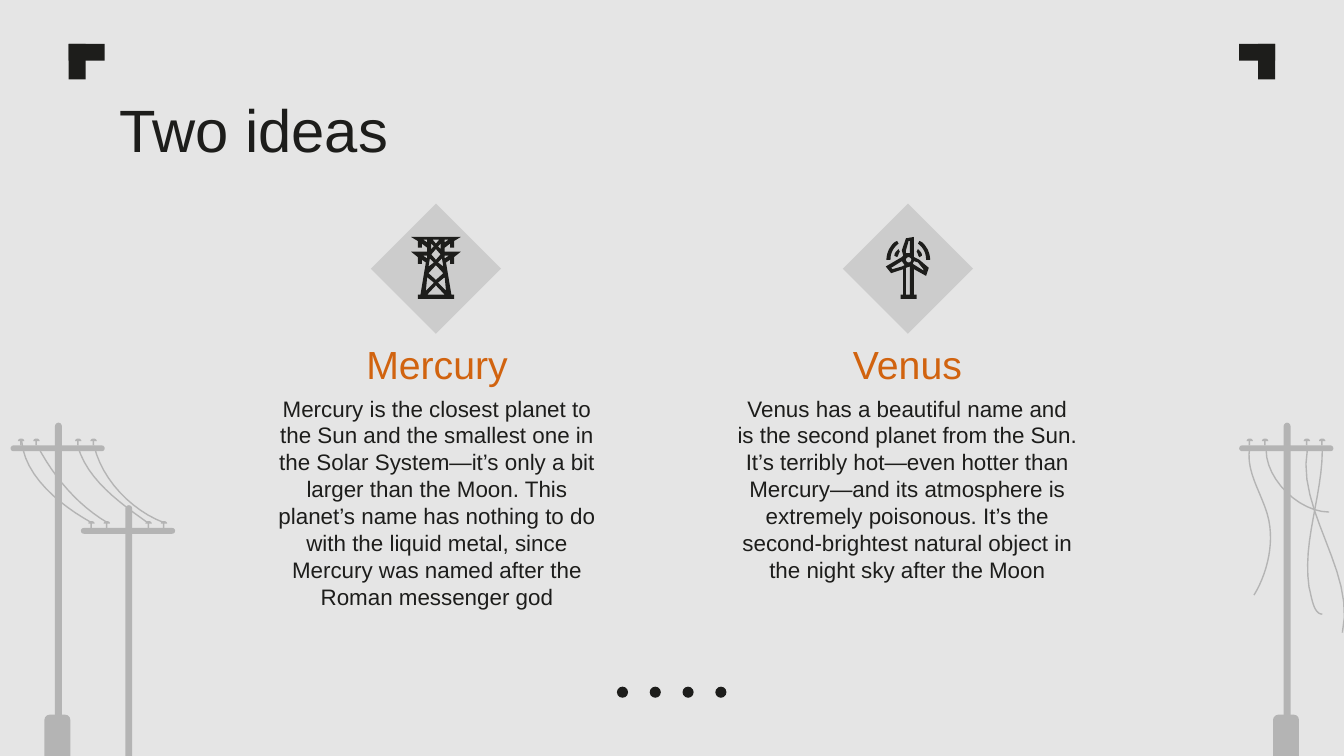
from pptx import Presentation
from pptx.dml.color import RGBColor
from pptx.enum.shapes import MSO_SHAPE
from pptx.enum.text import MSO_ANCHOR, MSO_AUTO_SIZE, PP_ALIGN
from pptx.oxml.ns import qn
from pptx.util import Cm, Pt

PAPER = RGBColor(0xE5, 0xE5, 0xE5)
INK = RGBColor(0x1D, 0x1D, 0x1B)
ORANGE = RGBColor(0xD1, 0x63, 0x0F)
POLE = RGBColor(0xB4, 0xB4, 0xB4)
TILE = RGBColor(0xCC, 0xCC, 0xCC)

ICON_UNIT = 0.0254  # cm per step of the icon grids
PYLON_WIDTH, TURBINE_WIDTH = 37, 33.5

TITLE = {"size": Pt(32), "color": INK, "align": PP_ALIGN.LEFT, "anchor": MSO_ANCHOR.TOP}
HEADING = {"size": Pt(21), "color": ORANGE, "align": PP_ALIGN.CENTER, "anchor": MSO_ANCHOR.BOTTOM}
BODY = {"size": Pt(12), "color": INK, "align": PP_ALIGN.CENTER, "anchor": MSO_ANCHOR.TOP}

IDEAS = [
    ("Mercury", "Mercury is the closest planet to the Sun and the smallest one in the Solar "
     "System—it’s only a bit larger than the Moon. This planet’s name has nothing to do with "
     "the liquid metal, since Mercury was named after the Roman messenger god"),
    ("Venus", "Venus has a beautiful name and is the second planet from the Sun. It’s terribly "
     "hot—even hotter than Mercury—and its atmosphere is extremely poisonous. It’s the "
     "second-brightest natural object in the night sky after the Moon"),
]

# In every path a pair is a corner and six numbers are a Bezier curve.
HALF_PYLON = [(0, 0), (5, 3), (5, 8), (8, 8), (8, 5), (12, 8), (12, 11), (0, 11), (5, 15),
              (5, 20), (8, 20), (8, 17), (11, 19), (7, 43), (5, 43), (5, 46)]
PYLON_SIDE_HOLES = [
    [(12, 2), (12, 4), (9, 2)], [(15, 5), (17, 7), (15, 9)], [(12, 14), (12, 16), (9, 14)],
    [(14, 16), (17, 19), (13, 22)], [(12, 30), (17, 34), (11, 40)]]
PYLON_MIDDLE_HOLES = [
    [(21, 2), (18.5, 5), (16, 2)], [(18.5, 9), (22, 13), (18.5, 17), (15, 13)],
    [(18.5, 21), (24, 27), (18.5, 32), (13, 27)], [(18.5, 36), (25, 43), (12, 43)]]
TURBINE = [
    [(21, 0), (15, 1), (12, 10), (13, 14), (12, 15), (0, 22), (4, 27), (13, 24), (13, 43),
     (11, 43), (11, 46), (23, 46), (23, 43), (21, 43), (21, 24), (30, 29), (32, 23), (25, 17),
     (21, 15)],
    [(18, 3), (18, 12), (15, 12), (15, 10), (17, 3)],
    [(17, 15), (18, 15, 19, 16, 19, 17), (19, 18, 18, 19, 17, 19),
     (16, 19, 15, 18, 15, 17), (15, 16, 16, 15, 17, 15)],
    [(12, 18), (14, 21), (12, 22), (5, 24), (4, 23)],
    [(21, 18), (24, 19), (28, 24), (28, 25), (20, 20)],
    [(18, 22), (18, 43), (15, 43), (15, 23)]]
WAVES = [
    [(24, 9), (23, 11), (24, 12, 24, 14, 25, 15), (27, 14), (27, 12, 26, 11, 24, 9)],
    [(25, 3), (24, 5), (28, 8, 30, 12, 30, 17), (33, 17), (33, 14, 32, 11, 31, 9),
     (29, 6, 28, 4, 25, 3)]]
CAP = [(0, 0.05), (0, 0.02, 0.03, 0, 0.06, 0), (0.09, 0, 0.12, 0.02, 0.12, 0.05)]
WIRES = [
    [(0.41, 8.33), (0.46, 9, 1.14, 9.55, 1.73, 9.88)],
    [(0.71, 8.43), (1.02, 9.02, 1.47, 9.55, 2.03, 9.88)],
    [(1.47, 8.43), (1.65, 9.07, 2.26, 9.5, 2.79, 9.88)],
    [(1.78, 8.43), (1.93, 9.07, 2.49, 9.65, 3.1, 9.88)],
    [(23.93, 8.51), (23.93, 9.07, 24.56, 9.68, 25.12, 9.68)],
    [(24.71, 8.48), (24.49, 9.65, 25.63, 10.8, 25.37, 11.96)],
    [(23.62, 8.46), (23.52, 8.97, 23.95, 9.45, 24, 9.96), (24.05, 10.39, 23.93, 10.87, 23.7, 11.25)],
    [(24.99, 8.51), (24.99, 9.37, 24.61, 10.24, 24.74, 11.1), (24.79, 11.28, 24.82, 11.61, 24.99, 11.61)],
]


def flatten(path, steps=12):
    """Turn the curves of a path into short straight steps."""
    points = []
    for part in path:
        if len(part) == 2:
            points.append(part)
            continue
        x0, y0 = points[-1]
        x1, y1, x2, y2, x3, y3 = part
        for i in range(1, steps + 1):
            t = i / steps
            a, b, c, d = (1 - t) ** 3, 3 * t * (1 - t) ** 2, 3 * t * t * (1 - t), t ** 3
            points.append((a * x0 + b * x1 + c * x2 + d * x3, a * y0 + b * y1 + c * y2 + d * y3))
    return points


def mirror(path, width):
    return [(width - x, y) for x, y in flatten(path)]


class SlideBuilder:
    def __init__(self, prs, layout):
        self.font = "Arial"
        self.s = prs.slides.add_slide(layout)
        self.s.background.fill.solid()
        self.s.background.fill.fore_color.rgb = PAPER

    def paint(self, sp, color):
        sp.shadow.inherit = False
        sp.fill.solid()
        sp.fill.fore_color.rgb = color
        sp.line.fill.background()

    def shape(self, kind, x, y, w, h, color):
        sp = self.s.shapes.add_shape(kind, Cm(x), Cm(y), Cm(w), Cm(h))
        self.paint(sp, color)
        return sp

    def bar(self, x, y, w, h, color, corner=0.5):
        self.shape(MSO_SHAPE.ROUNDED_RECTANGLE, x, y, w, h, color).adjustments[0] = corner

    def outline(self, paths, x=0, y=0, unit=1, close=True):
        """Draw the paths as one freeform; inner paths become holes."""
        builder = None
        for path in paths:
            points = [(Cm(x + px * unit), Cm(y + py * unit)) for px, py in flatten(path)]
            if builder is None:
                builder = self.s.shapes.build_freeform(*points[0])
            else:
                builder.move_to(*points[0])
            builder.add_line_segments(points[1:], close=close)
        return builder.convert_to_shape()

    def icon(self, paths, x, y):
        self.paint(self.outline(paths, x, y, ICON_UNIT), INK)

    def wire(self, path):
        sp = self.outline([path], close=False)
        sp.shadow.inherit = False
        sp.fill.background()
        sp.line.color.rgb = POLE
        sp.line.width = Pt(0.75)

    def pole(self, x, y, has_base):
        """Draw a pole whose crossarm has its top left corner at x, y."""
        self.bar(x + 0.84, y - 0.43, 0.13, 5.82, POLE)
        if has_base:
            self.bar(x + 0.64, y + 5.09, 0.49, 1.8, POLE, 0.2)
        self.bar(x, y, 1.78, 0.11, POLE)
        for pin in (0.2, 0.49, 1.28, 1.57):
            self.shape(MSO_SHAPE.RECTANGLE, x + pin - 0.02, y - 0.1, 0.03, 0.1, POLE)
            self.paint(self.outline([CAP], x + pin - 0.06, y - 0.13), POLE)

    def text(self, idx, text, x, y, w, h, style):
        sp = self.s.placeholders[idx]
        sp.left, sp.top, sp.width, sp.height = Cm(x), Cm(y), Cm(w), Cm(h)
        tf = sp.text_frame
        frame = {"word_wrap": True, "auto_size": MSO_AUTO_SIZE.NONE, "vertical_anchor": style["anchor"]}
        frame.update(dict.fromkeys(
            ("margin_left", "margin_right", "margin_top", "margin_bottom"), Cm(0.25)))
        for name, value in frame.items():
            setattr(tf, name, value)
        p = tf.paragraphs[0]
        pPr = p._p.get_or_add_pPr()
        pPr.set("marL", "0")
        pPr.set("indent", "0")
        pPr.append(pPr.makeelement(qn("a:buNone"), {}))
        p.space_before = Pt(0)
        p.alignment = style["align"]
        r = p.add_run()
        r.text = text
        for name, value in {"name": self.font, "size": style["size"], "bold": False}.items():
            setattr(r.font, name, value)
        r.font.color.rgb = style["color"]


def main():
    prs = Presentation()
    prs.slide_width, prs.slide_height = Cm(25.4), Cm(14.29)
    b = SlideBuilder(prs, prs.slide_layouts.get_by_name("Comparison"))

    for x, post_x in ((1.3, 1.3), (23.42, 23.78)):
        b.shape(MSO_SHAPE.RECTANGLE, x, 0.83, 0.68, 0.32, INK)
        b.shape(MSO_SHAPE.RECTANGLE, post_x, 0.83, 0.32, 0.67, INK)
    for i in range(4):
        b.shape(MSO_SHAPE.OVAL, 11.66 + 0.62 * i, 12.98, 0.21, 0.21, INK)

    for x, y, has_base in ((0.2, 8.42, True), (1.53, 9.98, False), (23.42, 8.42, True)):
        b.pole(x, y, has_base)
    for path in WIRES:
        b.wire(path)

    b.text(0, "Two ideas", 2, 1.5, 21.4, 1.6, TITLE)
    columns = zip(IDEAS, (4.78, 13.67), (7.01, 15.93))
    for i, ((heading, body), x, tile_x) in enumerate(columns):
        b.text(1 + 2 * i, heading, x, 6.3, 6.96, 1.27, HEADING)
        b.text(2 + 2 * i, body, x, 7.21, 6.96, 4.88, BODY)
        b.shape(MSO_SHAPE.DIAMOND, tile_x, 3.85, 2.46, 2.46, TILE)

    tower = HALF_PYLON + mirror(HALF_PYLON, PYLON_WIDTH)[::-1]
    right_holes = [mirror(hole, PYLON_WIDTH) for hole in PYLON_SIDE_HOLES]
    b.icon([tower] + PYLON_SIDE_HOLES + right_holes + PYLON_MIDDLE_HOLES, 7.77, 4.48)
    b.icon(TURBINE, 16.74, 4.48)
    for wave in WAVES:
        for side in (wave, mirror(wave, TURBINE_WIDTH)):
            b.icon([side], 16.74, 4.48)

    prs.save("out.pptx")


if __name__ == "__main__":
    main()
